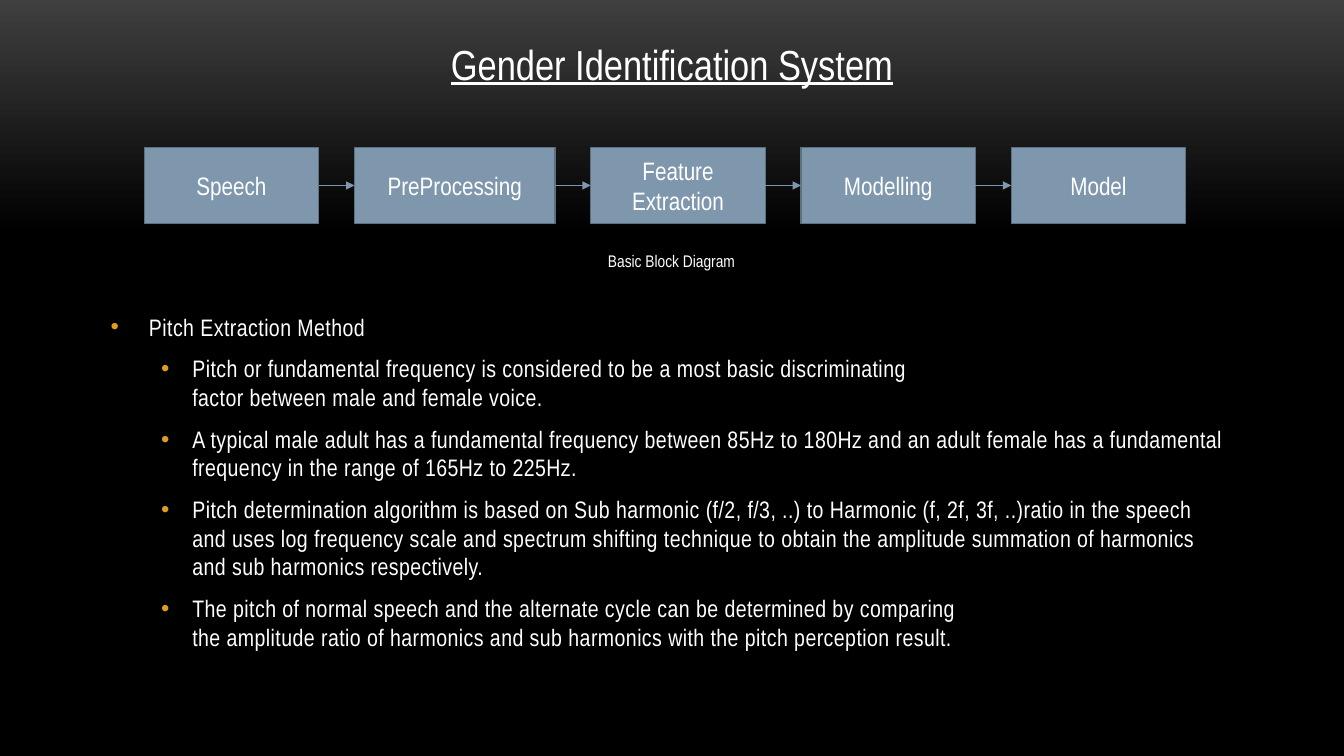
from dataclasses import dataclass
from lxml.etree import SubElement
from pptx import Presentation
from pptx.dml.color import RGBColor as Color
from pptx.enum.shapes import MSO_CONNECTOR as Connector, MSO_SHAPE as Shape
from pptx.enum.text import MSO_ANCHOR as Anchor, PP_ALIGN as Align
from pptx.oxml.ns import qn
from pptx.util import Inches, Pt


@dataclass(frozen=True)
class Theme:
    """Colours and type sizes of the slide."""
    font: str = "Arial Narrow"
    text: str = "FFFFFF"
    glow: str = "3F3F3F"
    base: str = "000000"
    block: str = "7E97AD"
    outline: str = "5D7080"
    bullet: str = "DC9E1F"
    title_size: int = 30
    block_size: int = 18
    body_size: int = 17
    caption_size: int = 12


THEME = Theme()
WIDTH, HEIGHT = Inches(13.33), Inches(7.5)
TITLE_AREA = (28.06, 4.4, 43.89, 8.13)
FLOW_AREA = (10.73, 19.47, 77.49, 10.13)
CAPTION_AREA = (36.23, 32.53, 27.46, 4)
BODY_AREA = (7.5, 40.67, 84.92, 53.87)
BLOCKS = [("Speech", 12.98), ("PreProcessing", 14.93), ("Feature Extraction", 12.98),
          ("Modelling", 12.98), ("Model", 12.98)]
LEVELS = [(0.38, 0.38), (0.81, 0.31)]
POINTS = [
    (0, "Pitch Extraction Method"),
    (1, "Pitch or fundamental frequency is considered to be a most basic discriminating\v"
        "factor between male and female voice."),
    (1, "A typical male adult has a fundamental frequency between 85Hz to 180Hz and an adult "
        "female has a fundamental frequency in the range of 165Hz to 225Hz."),
    (1, "Pitch determination algorithm is based on Sub harmonic (f/2, f/3, ..) to Harmonic "
        "(f, 2f, 3f, ..)ratio in the speech and uses log frequency scale and spectrum shifting "
        "technique to obtain the amplitude summation of harmonics and sub harmonics respectively."),
    (1, "The pitch of normal speech and the alternate cycle can be determined by comparing\v"
        "the amplitude ratio of harmonics and sub harmonics with the pitch perception result."),
]


def place(left, top, width, height):
    """Turn percentages of the slide into lengths."""
    return [round(share * side / 100) for share, side in
            zip((left, top, width, height), (WIDTH, HEIGHT, WIDTH, HEIGHT))]


def rgb(code):
    """Turn a hexadecimal code into a colour."""
    return Color.from_string(code)


def write(paragraph, text, size, align=Align.CENTER):
    """Fill a paragraph and set its font."""
    paragraph.text = text
    paragraph.alignment = align
    font = paragraph.font
    font.name, font.size = THEME.font, Pt(size)
    font.color.rgb = rgb(THEME.text)


def paint_background(slide):
    """Fade the background from grey to black."""
    fill = slide.background.fill
    fill.gradient()
    fill.gradient_angle = 270
    for stop, position, code in zip(fill.gradient_stops, (0, 0.31), (THEME.glow, THEME.base)):
        stop.position = position
        stop.color.rgb = rgb(code)


def set_title(slide, text):
    """Place and format the title."""
    title = slide.shapes.title
    title.left, title.top, title.width, title.height = place(*TITLE_AREA)
    title.text_frame.word_wrap = False
    title.text_frame.vertical_anchor = Anchor.TOP
    paragraph = title.text_frame.paragraphs[0]
    write(paragraph, text, THEME.title_size)
    paragraph.font.underline = True


def add_text_frame(slide, area):
    """Add a wrapping text box and return its frame."""
    frame = slide.shapes.add_textbox(*place(*area)).text_frame
    frame.word_wrap = True
    return frame


def add_block(slide, area, text):
    """Add one labelled block."""
    block = slide.shapes.add_shape(Shape.RECTANGLE, *place(*area))
    block.shadow.inherit = False
    block.fill.solid()
    block.fill.fore_color.rgb = rgb(THEME.block)
    block.line.color.rgb = rgb(THEME.outline)
    block.line.width = Pt(0.85)
    block.text_frame.word_wrap = True
    block.text_frame.vertical_anchor = Anchor.MIDDLE
    write(block.text_frame.paragraphs[0], text, THEME.block_size)
    return block


def add_arrow(slide, source, target):
    """Join two blocks with an arrow."""
    arrow = slide.shapes.add_connector(Connector.STRAIGHT, 0, 0, 0, 0)
    arrow.begin_connect(source, 3)
    arrow.end_connect(target, 1)
    arrow.line.color.rgb = rgb(THEME.block)
    arrow.line.width = Pt(0.75)
    properties = arrow.element.spPr
    SubElement(properties.find(qn("a:ln")), qn("a:tailEnd"), type="triangle")
    SubElement(properties, qn("a:effectLst"))


def add_flow(slide):
    """Lay out the blocks with equal gaps and join them."""
    left, top, span, height = FLOW_AREA
    gap = (span - sum(width for _, width in BLOCKS)) / (len(BLOCKS) - 1)
    blocks = []
    for text, width in BLOCKS:
        blocks.append(add_block(slide, (left, top, width, height), text))
        left += width + gap
    for source, target in zip(blocks, blocks[1:]):
        add_arrow(slide, source, target)


def set_bullet(paragraph, level):
    """Give a paragraph its level, hanging indent and bullet."""
    margin, hanging = LEVELS[level]
    paragraph.level = level
    properties = paragraph._p.get_or_add_pPr()
    properties.set("marL", str(Inches(margin)))
    properties.set("indent", str(-Inches(hanging)))
    colour = SubElement(properties, qn("a:buClr"))
    SubElement(colour, qn("a:srgbClr"), val=THEME.bullet)
    SubElement(properties, qn("a:buFont"), typeface="Arial")
    SubElement(properties, qn("a:buChar"), char="•")


def add_points(slide):
    """Add the bulleted text."""
    frame = add_text_frame(slide, BODY_AREA)
    for index, (level, text) in enumerate(POINTS):
        paragraph = frame.add_paragraph() if index else frame.paragraphs[0]
        set_bullet(paragraph, level)
        write(paragraph, text, THEME.body_size, Align.LEFT)
        paragraph.space_before = Pt(0.2 * THEME.body_size)
        paragraph.space_after = Pt(6)
        for run in paragraph.runs:
            run._r.get_or_add_rPr().set("spc", "30")


def main():
    """Build and save the slide."""
    presentation = Presentation()
    presentation.slide_width, presentation.slide_height = WIDTH, HEIGHT
    slide = presentation.slides.add_slide(presentation.slide_layouts[5])
    paint_background(slide)
    set_title(slide, "Gender Identification System")
    add_flow(slide)
    caption = add_text_frame(slide, CAPTION_AREA)
    write(caption.paragraphs[0], "Basic Block Diagram", THEME.caption_size)
    add_points(slide)
    presentation.save("out.pptx")


if __name__ == "__main__":
    main()
